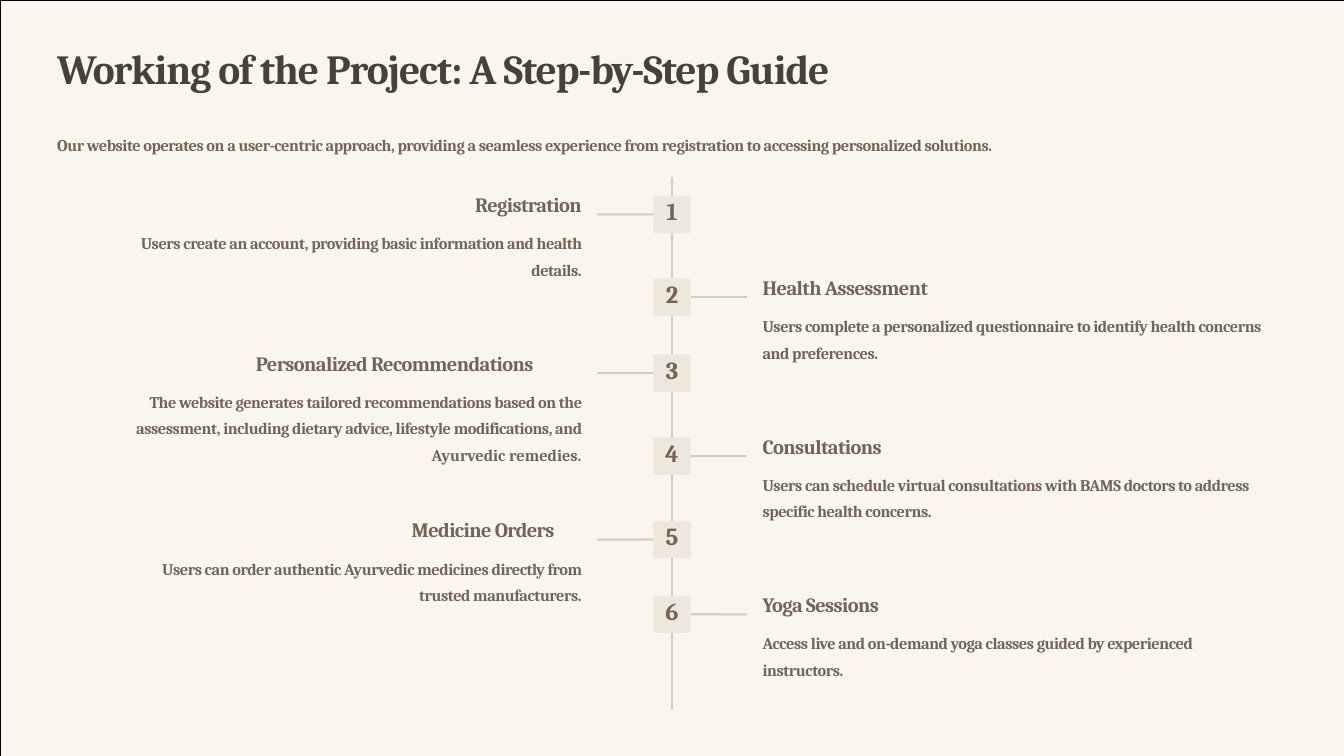
from lxml import etree
from pptx import Presentation
from pptx.dml.color import RGBColor
from pptx.enum.shapes import MSO_CONNECTOR, MSO_SHAPE
from pptx.enum.text import MSO_ANCHOR, MSO_AUTO_SIZE, PP_ALIGN
from pptx.oxml.ns import qn
from pptx.util import Cm, Pt

STRAIGHT = MSO_CONNECTOR.STRAIGHT
RECT, ROUNDED = MSO_SHAPE.RECTANGLE, MSO_SHAPE.ROUNDED_RECTANGLE
LEFT, CENTER, RIGHT = PP_ALIGN.LEFT, PP_ALIGN.CENTER, PP_ALIGN.RIGHT
TOP = MSO_ANCHOR.TOP
NO_FIT = MSO_AUTO_SIZE.NONE

FONT = "Cambria"
CREAM, SAND, LINE = "F8F6EF", "EDE8DD", "D3CEC3"
DARK, BROWN = "474237", "746457"

WIDTH, HEIGHT = 40.64, 22.86
SPINE_X = WIDTH / 2
BADGE = 1.13
TICK_END = 2.26
LEFT_TEXT_END = 17.59
RIGHT_TEXT, RIGHT_WIDTH = 23.06, 15.29
BODY_INDENT = 1.6

TITLE = "Working of the Project: A Step-by-Step Guide"
INTRO = ("Our website operates on a user-centric approach, providing a seamless "
         "experience from registration to accessing personalized solutions.")

LEFT_STEPS = [
    (5.92, 1.93, 2.69, None, "Registration",
     [("Users create an account, providing basic information and health details.", -0.4)]),
    (10.72, 1.75, 3.51, 5.99, "Personalized Recommendations",
     [("The website generates tailored recommendations based on the assessment, "
       "including dietary advice, lifestyle modifications, and ", -0.4),
      ("Ayurvedic remedies.", 0)]),
    (15.75, 2.72, 2.69, 9.73, "Medicine Orders",
     [("Users can order authentic Ayurvedic medicines directly from "
       "trusted manufacturers.", -0.4)]),
]
RIGHT_STEPS = [
    (8.43, "Health Assessment",
     "Users complete a personalized questionnaire to identify health "
     "concerns and preferences."),
    (13.23, "Consultations",
     "Users can schedule virtual consultations with BAMS doctors to address "
     "specific health concerns."),
    (18.01, "Yoga Sessions",
     "Access live and on-demand yoga classes guided by experienced instructors."),
]


def rgb(value):
    return RGBColor.from_string(value)


def setup_frame(tf, top=0.03):
    tf.word_wrap = True
    tf.auto_size = NO_FIT
    tf.vertical_anchor = TOP
    tf.margin_left = tf.margin_right = tf.margin_bottom = 0
    tf.margin_top = Cm(top)


def setup_paragraph(p, align, before=1, spacing=None, indent=0):
    p.alignment = align
    p.space_before = Pt(before)
    if spacing:
        p.line_spacing = spacing
    p._p.get_or_add_pPr().set("marL", str(Cm(indent)))


def add_run(p, text, size, color=BROWN, spacing=-0.4):
    r = p.add_run()
    r.text = text
    r.font.name = FONT
    r.font.size = Pt(size)
    r.font.bold = True
    r.font.color.rgb = rgb(color)
    r._r.get_or_add_rPr().set("spc", str(round(spacing * 100)))


def add_textbox(s, x, y, w, h):
    tf = s.shapes.add_textbox(Cm(x), Cm(y), Cm(w), Cm(h)).text_frame
    setup_frame(tf)
    return tf


def add_line(s, x1, y1, x2, y2):
    line = s.shapes.add_connector(STRAIGHT, Cm(x1), Cm(y1), Cm(x2), Cm(y2))
    line.line.color.rgb = rgb(LINE)
    line.line.width = Pt(1.75)
    etree.SubElement(line._element.spPr, qn("a:effectLst"))
    return line


def add_title(s):
    sp = s.shapes.title
    sp.left, sp.top, sp.width, sp.height = Cm(1.73), Cm(1.27), Cm(27.89), Cm(1.57)
    setup_frame(sp.text_frame)
    p = sp.text_frame.paragraphs[0]
    setup_paragraph(p, LEFT)
    add_run(p, TITLE, 35.5, DARK, -0.9)


def add_intro(s):
    p = add_textbox(s, 1.73, 4.06, 33.15, 0.66).paragraphs[0]
    setup_paragraph(p, LEFT)
    add_run(p, INTRO, 14)


def add_badge(s, number, y):
    sp = s.shapes.add_shape(ROUNDED, Cm(SPINE_X - BADGE / 2), Cm(y), Cm(BADGE), Cm(BADGE))
    sp.adjustments[0] = 0.06
    sp.shadow.inherit = False
    sp.fill.solid()
    sp.fill.fore_color.rgb = rgb(SAND)
    sp.line.fill.background()
    setup_frame(sp.text_frame, 0)
    p = sp.text_frame.paragraphs[0]
    setup_paragraph(p, CENTER, 0)
    add_run(p, str(number), 21)

    on_left = number % 2 == 1
    middle = y + BADGE / 2
    end = SPINE_X - TICK_END if on_left else SPINE_X + TICK_END
    tick = add_line(s, SPINE_X, middle, end, middle)
    tick.begin_connect(sp, 1 if on_left else 3)


def add_step_text(s, box, heading, body, heading_align, body_align,
                  heading_indent=0, body_indent=0):
    tf = add_textbox(s, *box)
    p = tf.paragraphs[0]
    setup_paragraph(p, heading_align, indent=heading_indent)
    add_run(p, heading, 17.5, spacing=-0.5)
    p = tf.add_paragraph()
    setup_paragraph(p, body_align, 8.6, 1.34, body_indent)
    for text, spacing in body:
        add_run(p, text, 14, spacing=spacing)


def add_border(s):
    sp = s.shapes.add_shape(RECT, 0, 0, Cm(WIDTH), Cm(HEIGHT))
    sp.shadow.inherit = False
    sp.fill.background()
    sp.line.color.rgb = rgb("000000")
    sp.line.width = Pt(0.25)


def main():
    prs = Presentation()
    prs.slide_width, prs.slide_height = Cm(WIDTH), Cm(HEIGHT)
    s = prs.slides.add_slide(prs.slide_layouts[5])
    s.background.fill.solid()
    s.background.fill.fore_color.rgb = rgb(CREAM)

    add_title(s)
    add_intro(s)
    add_line(s, SPINE_X, 5.36, SPINE_X, 21.46)
    for i, (y, x, h, indent, heading, body) in enumerate(LEFT_STEPS):
        add_badge(s, 2 * i + 1, y)
        add_step_text(s, (x, y - 0.13, LEFT_TEXT_END - x, h), heading, body,
                      RIGHT if indent is None else LEFT, RIGHT,
                      indent or 0, BODY_INDENT)
    for i, (y, heading, body) in enumerate(RIGHT_STEPS):
        add_badge(s, 2 * i + 2, y)
        add_step_text(s, (RIGHT_TEXT, y - 0.13, RIGHT_WIDTH, 2.69), heading,
                      [(body, -0.4)], LEFT, LEFT)
    add_border(s)
    prs.save("out.pptx")


if __name__ == "__main__":
    main()
